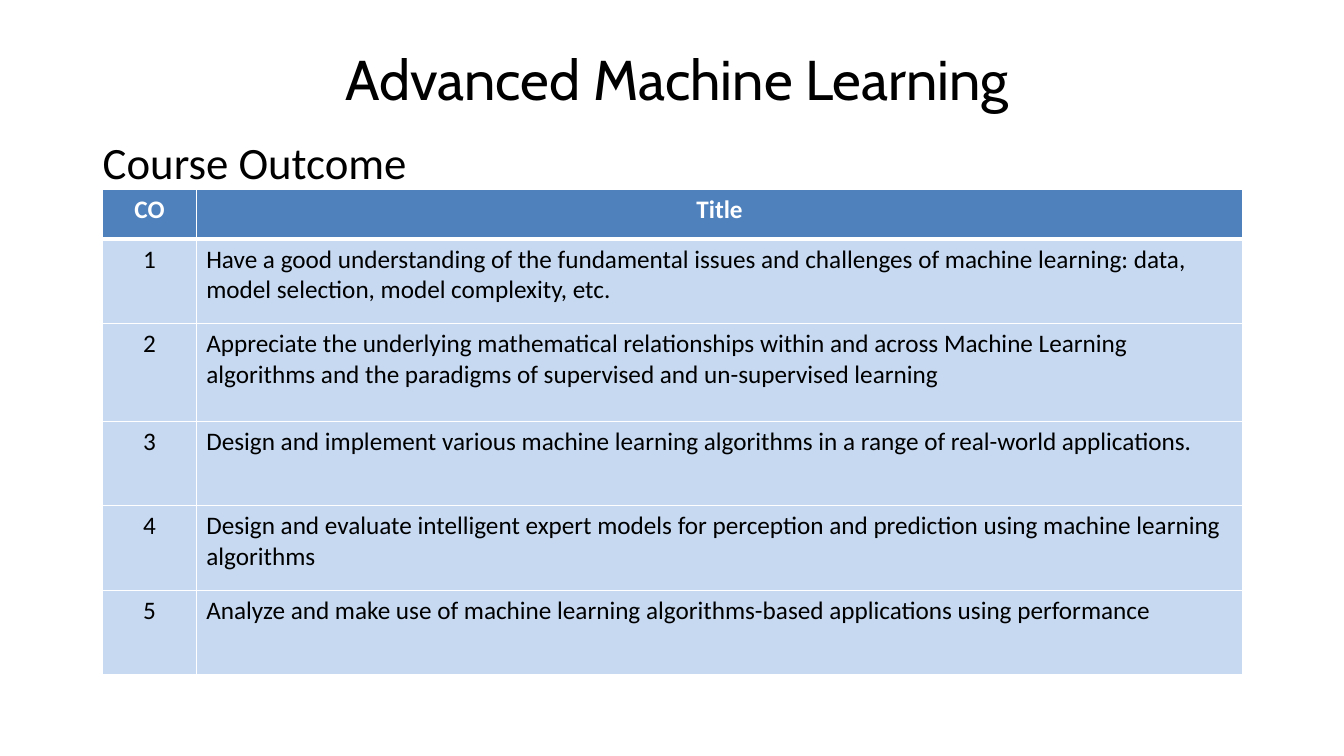
import pptx
import pptx.dml.color
import pptx.enum.text
import pptx.oxml
import pptx.oxml.ns
import pptx.util
from dataclasses import dataclass

Pt = pptx.util.Pt
ALIGN = pptx.enum.text.PP_ALIGN
ANCHOR = pptx.enum.text.MSO_ANCHOR

# Content
TITLE = "Advanced Machine Learning"
HEADING = "Course Outcome"
HEADER = ("CO", "Title")
OUTCOMES = [
    "Have a good understanding of the fundamental issues and challenges of machine learning: "
    "data, model selection, model complexity, etc.",
    "Appreciate the underlying mathematical relationships within and across Machine Learning "
    "algorithms and the paradigms of supervised and un-supervised learning",
    "Design and implement various machine learning algorithms in a range of real-world applications.",
    "Design and evaluate intelligent expert models for perception and prediction using "
    "machine learning algorithms",
    "Analyze and make use of machine learning algorithms-based applications using performance",
]


@dataclass(frozen=True)
class Theme:
    title_font: str = "Cabin"
    body_font: str = "Calibri"
    title_size: float = 40
    heading_size: float = 32
    table_size: float = 18
    text: str = "000000"
    header_text: str = "FFFFFF"
    header_fill: str = "4F81BD"
    row_fill: str = "C6D9F1"
    border: str = "FFFFFF"
    thin: float = 1
    thick: float = 3


THEME = Theme()

# Layout, in points
LEFT = 73.4
TABLE_TOP = 135.6
COLUMNS = (66.8, 747.6)
HEADER_HEIGHT = 35.2
ROW_HEIGHT = 60.4
TALL_ROW, TALL_HEIGHT = 2, 69.8


def rgb(value):
    return pptx.dml.color.RGBColor.from_string(value)


def write(tf, text, font, size, color, bold=False, align=ALIGN.LEFT):
    tf.text = text
    p = tf.paragraphs[0]
    p.alignment = align
    f = p.runs[0].font
    f.name, f.size, f.bold = font, Pt(size), bold
    f.color.rgb = rgb(color)


def set_borders(cell, widths):
    """Add left, right, top and bottom lines ahead of the cell fill."""
    tc_pr = cell._tc.get_or_add_tcPr()
    for i, (side, width) in enumerate(zip("LRTB", widths)):
        tc_pr.insert(i, pptx.oxml.parse_xml(
            f'<a:ln{side} {pptx.oxml.ns.nsdecls("a")} w="{Pt(width)}"><a:solidFill>'
            f'<a:srgbClr val="{THEME.border}"/></a:solidFill></a:ln{side}>'))


def add_title(s):
    sp = s.shapes.title
    sp.left, sp.top, sp.width, sp.height = Pt(239.8), Pt(28.1), Pt(516.2), Pt(55.4)
    tf = sp.text_frame
    tf.word_wrap = True
    tf.vertical_anchor = ANCHOR.MIDDLE
    write(tf, TITLE, THEME.title_font, THEME.title_size, THEME.text)


def add_heading(s):
    sp = s.shapes.add_textbox(Pt(LEFT), Pt(96.5), Pt(293.8), Pt(38.9))
    tf = sp.text_frame
    tf.word_wrap = True
    tf.margin_left = tf.margin_right = tf.margin_top = tf.margin_bottom = 0
    write(tf, HEADING, THEME.body_font, THEME.heading_size, THEME.text)


def add_outcomes(s):
    rows = [HEADER] + [(str(n), text) for n, text in enumerate(OUTCOMES, 1)]
    heights = [HEADER_HEIGHT] + [ROW_HEIGHT] * len(OUTCOMES)
    heights[TALL_ROW] = TALL_HEIGHT
    table = s.shapes.add_table(len(rows), len(COLUMNS), Pt(LEFT), Pt(TABLE_TOP),
                               Pt(sum(COLUMNS)), Pt(sum(heights))).table
    for column, width in zip(table.columns, COLUMNS):
        column.width = Pt(width)
    for r, (row, height) in enumerate(zip(rows, heights)):
        table.rows[r].height = Pt(height)
        header = r == 0
        top = THEME.thick if r == 1 else THEME.thin
        bottom = THEME.thick if header else THEME.thin
        for c, text in enumerate(row):
            cell = table.cell(r, c)
            cell.fill.solid()
            cell.fill.fore_color.rgb = rgb(THEME.header_fill if header else THEME.row_fill)
            set_borders(cell, (THEME.thin, THEME.thin, top, bottom))
            write(cell.text_frame, text, THEME.body_font, THEME.table_size,
                  THEME.header_text if header else THEME.text, header,
                  ALIGN.CENTER if header or c == 0 else ALIGN.LEFT)


def main():
    prs = pptx.Presentation()
    prs.slide_width, prs.slide_height = Pt(960), Pt(540)
    s = prs.slides.add_slide(prs.slide_layouts[5])
    add_title(s)
    add_heading(s)
    add_outcomes(s)
    prs.save("out.pptx")


if __name__ == "__main__":
    main()
